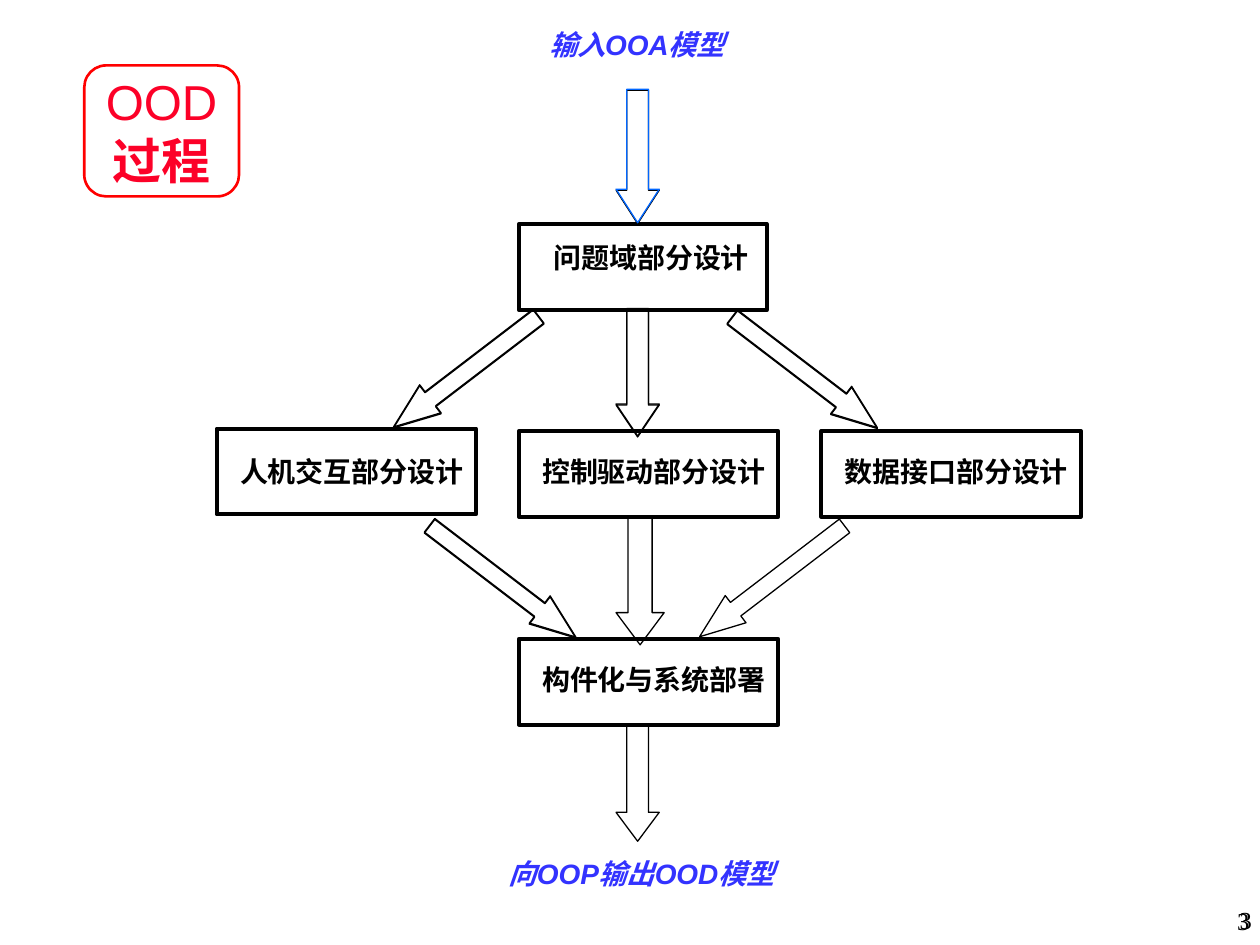
from dataclasses import dataclass

from pptx import Presentation
from pptx.dml.color import RGBColor
from pptx.enum.shapes import MSO_SHAPE
from pptx.enum.text import MSO_ANCHOR, MSO_AUTO_SIZE, PP_ALIGN
from pptx.shapes.autoshape import Shape
from pptx.slide import Slide
from pptx.util import Cm, Pt

RECT = MSO_SHAPE.RECTANGLE
ROUND = MSO_SHAPE.ROUNDED_RECTANGLE
DOWN = MSO_SHAPE.DOWN_ARROW
LEFT, MID, RIGHT = PP_ALIGN.LEFT, PP_ALIGN.CENTER, PP_ALIGN.RIGHT
TOP, CENTER = MSO_ANCHOR.TOP, MSO_ANCHOR.MIDDLE
GROW, FIXED = MSO_AUTO_SIZE.SHAPE_TO_FIT_TEXT, MSO_AUTO_SIZE.NONE


@dataclass(frozen=True)
class Theme:
    ink: str = "000000"
    note: str = "3333FF"
    flow: str = "0066FF"
    edge: str = "FF0000"
    title: str = "FC0128"
    sans: str = "Arial"
    serif: str = "Times New Roman"
    big: int = 28
    body: int = 16
    small: int = 14


@dataclass(frozen=True)
class Step:
    text: str
    x: float
    y: float
    w: float = 5.23
    dx: float = 0.22
    dy: float = 0.35
    text_w: float = 5.06


@dataclass(frozen=True)
class Arrow:
    x: float
    y: float
    w: float
    h: float
    head: float
    turn: float = 0
    twin: bool = True  # a second outline lies just below the first
    color: str = Theme.ink


THEME = Theme()
TILT = 52.6
STEP_H = 1.73
LINE_H = 0.94
SHIFT = 0.02

STEPS = [
    Step("问题域部分设计", 10.46, 4.52, 5.0, 0.45, 0.2, 4.46),
    Step("人机交互部分设计", 4.37, 8.64, dy=0.4),
    Step("控制驱动部分设计", 10.46, 8.69),
    Step("数据接口部分设计", 16.56, 8.69),
    Step("构件化与系统部署", 10.46, 12.88),
]

ARROWS = [
    Arrow(12.42, 1.8, 0.87, 2.69, 0.776, color=THEME.flow),
    Arrow(9.04, 5.65, 0.71, 3.68, 1.316, TILT),
    Arrow(12.42, 6.22, 0.87, 2.57, 0.74),
    Arrow(15.88, 5.66, 0.69, 3.68, 1.327, -TILT),
    Arrow(9.79, 9.86, 0.69, 3.71, 1.326, -TILT),
    Arrow(12.42, 10.43, 0.97, 2.57, 0.669, twin=False),
    Arrow(15.22, 9.88, 0.69, 3.68, 1.327, TILT, twin=False),
    Arrow(12.42, 14.62, 0.87, 2.34, 0.67, twin=False),
]


def outline(slide: Slide, kind: MSO_SHAPE, x: float, y: float, w: float,
            h: float, color: str, width: float) -> Shape:
    """Add a preset shape with a line and no fill."""
    shape = slide.shapes.add_shape(kind, Cm(x), Cm(y), Cm(w), Cm(h))
    shape.shadow.inherit = False
    shape.fill.background()
    shape.line.color.rgb = RGBColor.from_string(color)
    shape.line.width = Pt(width)
    return shape


def write(shape: Shape, *runs: tuple[str, bool], size: int = THEME.body,
          font: str = THEME.sans, color: str = THEME.ink,
          italic: bool = False, align: PP_ALIGN = LEFT,
          anchor: MSO_ANCHOR = TOP, wrap: bool = False,
          fit: MSO_AUTO_SIZE = GROW) -> None:
    """Fill a shape with one paragraph of (text, bold) runs."""
    frame = shape.text_frame
    frame.word_wrap = wrap
    frame.auto_size = fit
    frame.vertical_anchor = anchor
    para = frame.paragraphs[0]
    para.alignment = align
    for text, bold in runs:
        run = para.add_run()
        run.text = text
        run.font.size = Pt(size)
        run.font.name = font
        run.font.bold = bold
        run.font.italic = italic
        run.font.color.rgb = RGBColor.from_string(color)


def label(slide: Slide, text: str, x: float, y: float, w: float,
          h: float = LINE_H, bold: bool = True, **style) -> None:
    box = slide.shapes.add_textbox(Cm(x), Cm(y), Cm(w), Cm(h))
    write(box, (text, bold), **style)


def draw_step(slide: Slide, step: Step) -> None:
    outline(slide, RECT, step.x, step.y, step.w, STEP_H, THEME.ink, 2.25)
    label(slide, step.text, step.x + step.dx, step.y + step.dy, step.text_w)


def draw_arrow(slide: Slide, arrow: Arrow) -> None:
    layers = [(0, arrow.color)]
    if arrow.twin:
        layers.insert(0, (SHIFT, THEME.ink))
    for drop, color in layers:
        shape = outline(slide, DOWN, arrow.x, arrow.y + drop,
                        arrow.w, arrow.h, color, 0.75)
        shape.adjustments[0] = 0.5
        shape.adjustments[1] = arrow.head
        shape.rotation = arrow.turn


def draw_title(slide: Slide) -> None:
    badge = outline(slide, ROUND, 1.7, 1.32, 3.12, 2.64, THEME.edge, 1.5)
    badge.adjustments[0] = 0.167
    frame = badge.text_frame
    frame.margin_left = frame.margin_right = 0
    frame.margin_top = frame.margin_bottom = 0
    write(badge, ("OOD", False), ("过程", True), size=THEME.big,
          color=THEME.title, align=MID, wrap=True)


def main() -> None:
    deck = Presentation()
    deck.slide_width, deck.slide_height = Cm(25.4), Cm(19.05)
    slide = deck.slides.add_slide(deck.slide_layouts[6])

    for x, y in [(20.16, 17.93), (20.21, 17.91)]:
        label(slide, "3", x, y, 5.28, 1.27, bold=False, size=THEME.small,
              font=THEME.serif, align=RIGHT, anchor=CENTER, fit=FIXED)
    for step in STEPS:
        draw_step(slide, step)
    note = {"color": THEME.note, "italic": True, "align": MID}
    label(slide, "输入OOA模型", 10.68, 0.43, 4.32, **note)
    label(slide, "向OOP输出OOD模型", 9.57, 17.15, 6.73, wrap=True, **note)
    draw_title(slide)
    for arrow in ARROWS:
        draw_arrow(slide, arrow)

    deck.save("out.pptx")


if __name__ == "__main__":
    main()
